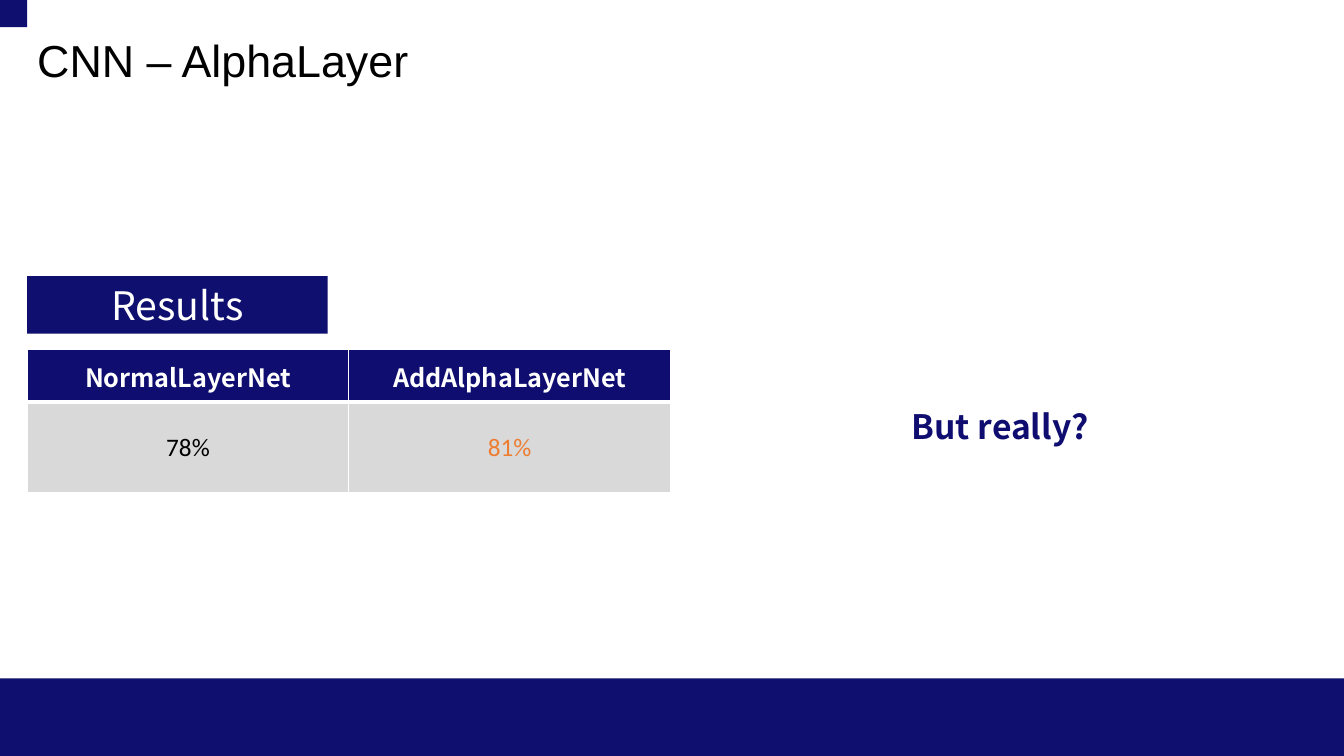
from pptx import Presentation
from pptx.dml.color import RGBColor
from pptx.enum.shapes import MSO_SHAPE as Shape
from pptx.enum.text import MSO_ANCHOR as Anchor, PP_ALIGN as Align
from pptx.oxml import parse_xml
from pptx.oxml.ns import nsdecls
from pptx.util import Inches, Pt

NAVY = "0F0F70"
TABLE_NAVY = "0F0E70"
WHITE = "FFFFFF"
GRAY = "D9D9D9"
BLACK = "000000"
ORANGE = "ED7D31"
SANS = "Noto Sans CJK KR"


def color(value):
    return RGBColor.from_string(value)


class SlideBuilder:
    """Draws styled elements on the current slide."""

    def __init__(self, page):
        self.page = page

    def set_text(self, frame, text, size, ink, font=SANS, bold=False, align=Align.CENTER):
        frame.text = text
        para = frame.paragraphs[0]
        para.alignment = align
        span = para.runs[0]
        span.font.name = font
        span.font.size = Pt(size)
        span.font.bold = bold
        span.font.color.rgb = color(ink)
        return para

    def bar(self, left, top, width, height):
        box = self.page.shapes.add_shape(
            Shape.RECTANGLE, Inches(left), Inches(top), Inches(width), Inches(height))
        box.shadow.inherit = False
        box.fill.solid()
        box.fill.fore_color.rgb = color(NAVY)
        box.line.fill.background()
        box.text_frame.vertical_anchor = Anchor.MIDDLE
        return box

    def label(self, left, top, width, height, text, size, ink, **style):
        box = self.page.shapes.add_textbox(
            Inches(left), Inches(top), Inches(width), Inches(height))
        frame = box.text_frame
        frame.word_wrap = True
        frame.vertical_anchor = Anchor.MIDDLE
        return self.set_text(frame, text, size, ink, **style)

    def border(self, cell, widths):
        properties = cell._tc.get_or_add_tcPr()
        for index, (side, width) in enumerate(widths.items()):
            properties.insert(index, parse_xml(
                f'<a:ln{side} {nsdecls("a")} w="{Pt(width)}"><a:solidFill>'
                f'<a:srgbClr val="{WHITE}"/></a:solidFill></a:ln{side}>'))

    def table(self, left, top, column_width, row_heights, rows):
        columns = len(rows[0])
        grid = self.page.shapes.add_table(
            len(rows), columns, Inches(left), Inches(top),
            Inches(column_width * columns), Inches(sum(row_heights))).table
        for column in grid.columns:
            column.width = Inches(column_width)
        for row_index, (height, cells) in enumerate(zip(row_heights, rows)):
            grid.rows[row_index].height = Inches(height)
            header = row_index == 0
            for column_index, (text, ink) in enumerate(cells):
                cell = grid.cell(row_index, column_index)
                cell.vertical_anchor = Anchor.MIDDLE
                cell.fill.solid()
                cell.fill.fore_color.rgb = color(TABLE_NAVY if header else GRAY)
                self.set_text(cell.text_frame, text, 18, ink,
                              font=SANS if header else "Calibri", bold=header)
                self.border(cell, {"L": 1, "R": 1, "T": 1 if header else 3,
                                   "B": 3 if header else 1})


def main():
    deck = Presentation()
    deck.slide_width = Inches(13.33)
    deck.slide_height = Inches(7.5)
    slide = SlideBuilder(deck.slides.add_slide(deck.slide_layouts[6]))

    slide.table(0.27, 3.47, 3.19, [0.52, 0.9], [
        [("NormalLayerNet", WHITE), ("AddAlphaLayerNet", WHITE)],
        [("78%", BLACK), ("81%", ORANGE)],
    ])
    results = slide.bar(0.27, 2.74, 2.98, 0.57)
    slide.set_text(results.text_frame, "Results", 28, WHITE)
    slide.bar(0, 6.73, 13.33, 0.77)
    slide.label(0.27, 0.27, 7.02, 0.64, "CNN – AlphaLayer", 32, BLACK,
                font="Arial", align=Align.LEFT)
    slide.bar(0, 0, 0.27, 0.27)
    question = slide.label(7.77, 3.91, 4.3, 0.56, "But really?", 24, TABLE_NAVY, bold=True)
    question.line_spacing = 1.2

    deck.save("out.pptx")


if __name__ == "__main__":
    main()
